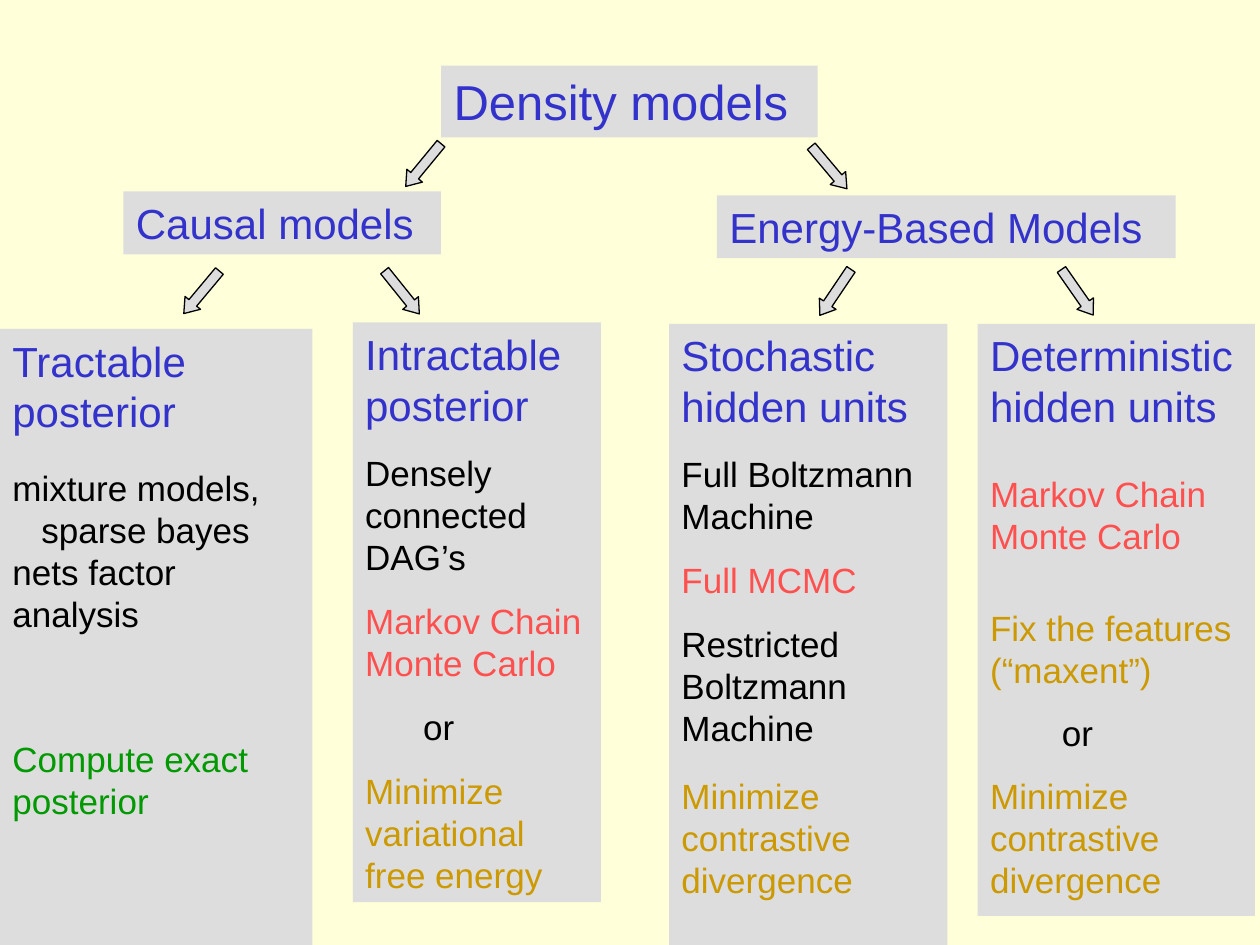
from lxml.etree import SubElement
from pptx import Presentation
from pptx.dml.color import RGBColor
from pptx.enum.shapes import MSO_SHAPE
from pptx.enum.text import MSO_ANCHOR, MSO_AUTO_SIZE, PP_ALIGN
from pptx.oxml.ns import qn
from pptx.util import Inches, Pt

CREAM = RGBColor(0xFF, 0xFF, 0xD9)
GREY = RGBColor(0xDD, 0xDD, 0xDD)
BLUE = RGBColor(0x33, 0x33, 0xCC)
BLACK = RGBColor(0x00, 0x00, 0x00)
RED = RGBColor(0xFF, 0x50, 0x50)
GOLD = RGBColor(0xCC, 0x99, 0x00)
GREEN = RGBColor(0x00, 0x99, 0x00)


class Board:
    font = "Arial"
    body = 20
    head = 24
    step = 0.23  # distance between tab stops

    def __init__(self, slide):
        self.slide = slide
        back = slide.background.fill
        back.solid()
        back.fore_color.rgb = CREAM

    def tabs(self, para):
        stops = SubElement(para._p.get_or_add_pPr(), qn("a:tabLst"))
        for i in (1, 2):
            SubElement(stops, qn("a:tab"), pos=str(Inches(self.step * i)), algn="l")

    def words(self, para, text, size, color, gap=0):
        para.text = text
        para.alignment = PP_ALIGN.LEFT
        if gap:
            para.space_before = Pt(gap)
        if "\t" in text:
            self.tabs(para)
        for run in para.runs:
            run.font.name = self.font
            run.font.size = Pt(size)
            run.font.color.rgb = color

    def frame(self, shape, wrap=True):
        frame = shape.text_frame
        frame.word_wrap = wrap
        frame.auto_size = MSO_AUTO_SIZE.NONE
        frame.vertical_anchor = MSO_ANCHOR.TOP
        return frame

    def paint(self, shape):
        shape.fill.solid()
        shape.fill.fore_color.rgb = GREY

    def title(self, text, x, y, w, h):
        shape = self.slide.shapes.title
        shape.left, shape.top = Inches(x), Inches(y)
        shape.width, shape.height = Inches(w), Inches(h)
        self.paint(shape)
        self.words(self.frame(shape).paragraphs[0], text, 28, BLUE)

    def box(self, head, x, y, w, h, items=()):
        shape = self.slide.shapes.add_shape(
            MSO_SHAPE.RECTANGLE, Inches(x), Inches(y), Inches(w), Inches(h))
        shape.shadow.inherit = False
        self.paint(shape)
        shape.line.fill.background()
        frame = self.frame(shape)
        self.words(frame.paragraphs[0], head, self.head, BLUE)
        for text, color, gap in items:
            self.words(frame.add_paragraph(), text, self.body, color, gap)

    def arrow(self, x, y, turn):
        shape = self.slide.shapes.add_shape(
            MSO_SHAPE.RIGHT_ARROW, Inches(x), Inches(y), Inches(0.44), Inches(0.16))
        shape.adjustments[1] = 0.69
        shape.rotation = turn
        shape.shadow.inherit = False
        self.paint(shape)
        shape.line.color.rgb = BLACK
        shape.line.width = Pt(0.75)

    def label(self, text, x, y, w, h):
        shape = self.slide.shapes.add_textbox(
            Inches(x), Inches(y), Inches(w), Inches(h))
        frame = self.frame(shape, wrap=False)
        self.words(frame.paragraphs[0], text, self.body, BLACK)


def main():
    deck = Presentation()
    deck.slide_width, deck.slide_height = Inches(10), Inches(7.5)
    board = Board(deck.slides.add_slide(deck.slide_layouts[5]))

    # Root and its two families
    board.title("Density models", 3.5, 0.52, 2.99, 0.57)
    board.box("Causal models", 0.98, 1.52, 2.52, 0.5)
    board.box("Energy-Based Models", 5.69, 1.55, 3.64, 0.5)

    # Leaves: text, colour, space before
    board.box("Tractable posterior", 0, 2.61, 2.48, 4.97, [
        ("mixture models,\v\tsparse bayes\vnets factor analysis", BLACK, 17.5),
        ("Compute exact posterior", GREEN, 59),
    ])
    board.box("Intractable posterior", 2.8, 2.56, 1.97, 4.6, [
        ("Densely connected DAG’s", BLACK, 12.5),
        ("Markov Chain Monte Carlo", RED, 12.5),
        ("\t\tor", BLACK, 12.5),
        ("Minimize variational free energy", GOLD, 12.5),
    ])
    board.box("Stochastic hidden units", 5.31, 2.57, 2.21, 5.1, [
        ("Full Boltzmann Machine", BLACK, 12.5),
        ("Full MCMC", RED, 12.5),
        ("Restricted Boltzmann Machine", BLACK, 12.5),
        ("Minimize contrastive divergence", GOLD, 15),
    ])
    board.box("Deterministic hidden units", 7.76, 2.57, 2.2, 4.7, [
        ("Markov Chain Monte Carlo", RED, 24),
        ("Fix the features (“maxent”)", GOLD, 28.5),
        ("Minimize contrastive divergence", GOLD, 48),
    ])
    board.label("or", 8.33, 5.6, 0.45, 0.44)

    # Branches: left, top, rotation
    for x, y, turn in [
        (3.14, 1.23, 129.5), (6.36, 1.25, 49.9),
        (1.38, 2.24, 129.9), (2.97, 2.24, 51.2),
        (6.41, 2.24, 124), (8.33, 2.24, 55.1),
    ]:
        board.arrow(x, y, turn)

    deck.save("out.pptx")


if __name__ == "__main__":
    main()
